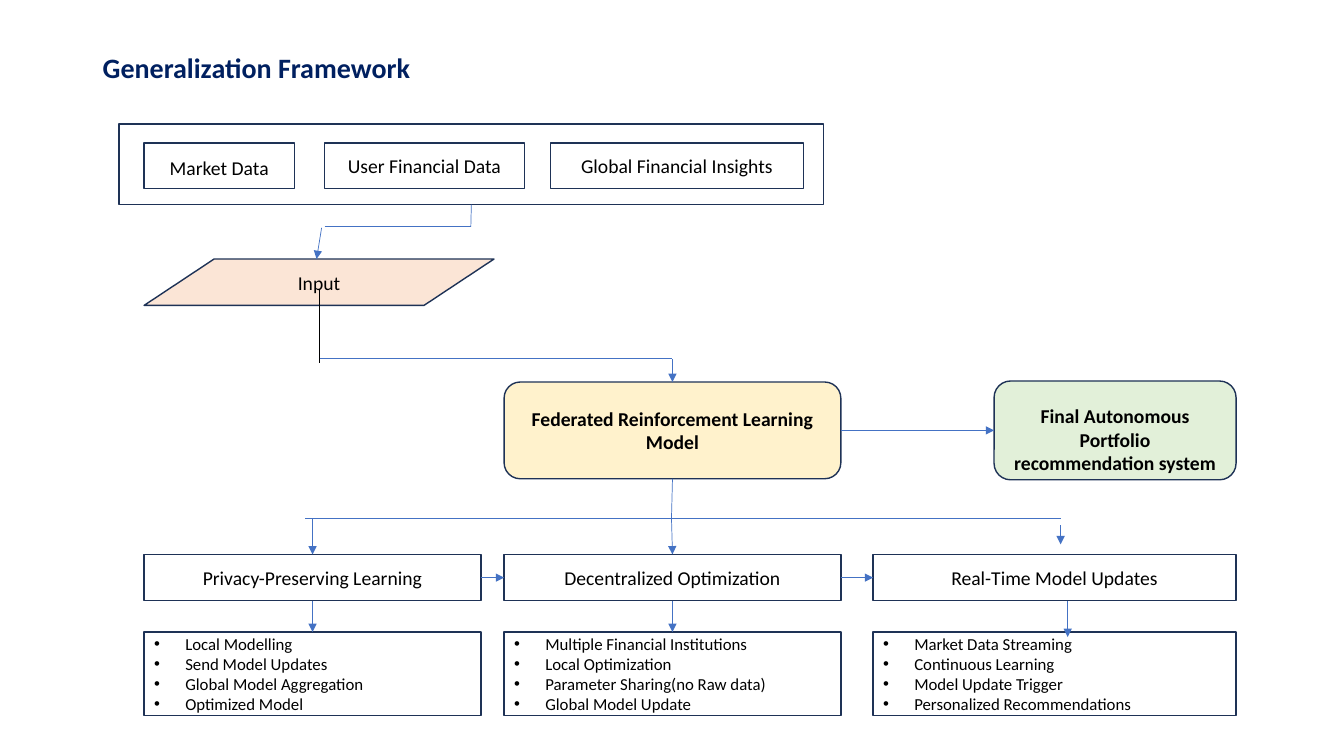
from lxml import etree
from pptx import Presentation
from pptx.dml.color import RGBColor
from pptx.enum.shapes import MSO_CONNECTOR, MSO_SHAPE
from pptx.enum.text import MSO_ANCHOR, PP_ALIGN
from pptx.oxml.ns import qn
from pptx.util import Inches, Pt

NAVY, BLUE, BLACK = "1E3256", "4472C4", "000000"
TOP, LEFT, BOTTOM, RIGHT = range(4)
BULLET_INDENT = 0.31
BOX_H = 0.46

PILLARS = [
    (0, 3.34, "Privacy-Preserving Learning",
     ["Local Modelling", "Send Model Updates", "Global Model Aggregation", "Optimized Model"]),
    (3.57, 3.34, "Decentralized Optimization",
     ["Multiple Financial Institutions", "Local Optimization",
      "Parameter Sharing(no Raw data)", "Global Model Update"]),
    (7.23, 3.6, "Real-Time Model Updates",
     ["Market Data Streaming", "Continuous Learning", "Model Update Trigger",
      "Personalized Recommendations"]),
]


def rgb(color):
    return RGBColor.from_string(color)


def write(shape, text, size=14, color=BLACK, bold=False, align=PP_ALIGN.CENTER,
          bullets=False, top=0.05, bottom=0.05):
    """Fill a shape with text, one paragraph per line."""
    tf = shape.text_frame
    tf.word_wrap = True
    tf.vertical_anchor = MSO_ANCHOR.MIDDLE
    tf.margin_top, tf.margin_bottom = Inches(top), Inches(bottom)
    for i, line in enumerate(text.split("\n")):
        p = tf.add_paragraph() if i else tf.paragraphs[0]
        p.alignment = align
        if bullets:
            pPr = p._p.get_or_add_pPr()
            pPr.set("marL", str(Inches(BULLET_INDENT)))
            pPr.set("indent", str(-Inches(BULLET_INDENT)))
            etree.SubElement(pPr, qn("a:buFont"), typeface="Arial")
            etree.SubElement(pPr, qn("a:buChar"), char="•")
        r = p.add_run()
        r.text = line
        r.font.name = "Calibri"
        r.font.size = Pt(size)
        r.font.bold = bold
        r.font.color.rgb = rgb(color)


def add_box(s, x, y, w, h, text="", kind=MSO_SHAPE.RECTANGLE, fill=None, **fmt):
    sp = s.shapes.add_shape(kind, Inches(x), Inches(y), Inches(w), Inches(h))
    sp.shadow.inherit = False
    if fill:
        sp.fill.solid()
        sp.fill.fore_color.rgb = rgb(fill)
    else:
        sp.fill.background()
    sp.line.color.rgb = rgb(NAVY)
    sp.line.width = Pt(1)
    if text:
        write(sp, text, **fmt)
    return sp


def link(s, start, end, arrow=True, color=BLUE):
    """Join two ends, each a point (x, y) or a (shape, side) pair."""
    points = [(0, 0) if hasattr(e[0], "shape_id") else e for e in (start, end)]
    c = s.shapes.add_connector(MSO_CONNECTOR.STRAIGHT,
                               *[Inches(v) for point in points for v in point])
    for e, connect in ((start, c.begin_connect), (end, c.end_connect)):
        if hasattr(e[0], "shape_id"):
            connect(*e)
    c.line.color.rgb = rgb(color)
    c.line.width = Pt(0.5)
    if arrow:
        etree.SubElement(c.line._get_or_add_ln(), qn("a:tailEnd"), type="triangle")
    etree.SubElement(c._element.spPr, qn("a:effectLst"))


def add_title(s, x, y, w, h):
    tb = s.shapes.add_textbox(Inches(x), Inches(y), Inches(w), Inches(h))
    write(tb, "Generalization Framework", size=20, color="002060", bold=True,
          align=PP_ALIGN.LEFT)
    tb.text_frame.paragraphs[0].line_spacing = 0.9


def add_sources(s, x, y, w, h):
    """Frame holding the three data sources; returns the frame."""
    frame = add_box(s, x, y, w, h)
    for dx, width, text, top in ((0.25, 1.49, "Market Data", 0.09),
                                 (2.04, 1.98, "User Financial Data", 0.05),
                                 (4.28, 2.51, "Global Financial Insights", 0.05)):
        add_box(s, x + dx, y + 0.19, width, 0.45, text, top=top)
    return frame


def add_input(s, x, y, w, h, sources):
    """Input parallelogram and the stepped arrow down from the sources."""
    add_box(s, x, y, w, h, "Input", MSO_SHAPE.FLOWCHART_DATA, "FBE5D6")
    bend_x, bend_y = x + 3.24, y - 0.32
    link(s, (sources, BOTTOM), (bend_x, bend_y), arrow=False)
    link(s, (x + 1.79, bend_y), (bend_x, bend_y), arrow=False)
    link(s, (x + 1.76, y - 0.31), (x + 1.71, y))


def add_model_row(s, x, y, w, h, input_x):
    """Learning model, its feed from the input and its result; returns the model."""
    model = add_box(s, x, y, 3.34, h, "Federated Reinforcement Learning Model",
                    MSO_SHAPE.ROUNDED_RECTANGLE, "FFF2CC", bold=True)
    mid, bend_y = x + 1.67, y - 0.23
    link(s, (input_x, y - 0.92), (input_x, y - 0.19), arrow=False, color=BLACK)
    link(s, (input_x, bend_y), (mid, bend_y), arrow=False)
    link(s, (mid, bend_y), (model, TOP))
    result = add_box(s, x + w - 2.4, y - 0.01, 2.4, h + 0.02,
                     "Final Autonomous Portfolio recommendation system",
                     MSO_SHAPE.ROUNDED_RECTANGLE, "E2F0D9", bold=True, top=0.18, bottom=0)
    link(s, (model, RIGHT), (result, LEFT))
    return model


def add_pillars(s, x, y, w, h, model):
    """Three linked pillars with bullet lists, fed by a bar under the model."""
    detail_y, detail_h = y + 0.77, h - 0.77
    bar_y = y - 0.36
    bar_end = x + w - 1.74
    heads, details = [], []
    for dx, width, head, points in PILLARS:
        heads.append(add_box(s, x + dx, y, width, BOX_H, head))
        details.append(add_box(s, x + dx, detail_y, width, detail_h, "\n".join(points),
                               size=12, align=PP_ALIGN.LEFT, bullets=True))
    privacy, decentral, _ = heads

    link(s, (x + 1.6, bar_y), (bar_end, bar_y), arrow=False)
    link(s, (x + 1.67, bar_y), (privacy, TOP))
    link(s, (model, BOTTOM), (x + 5.23, bar_y), arrow=False)
    link(s, (x + 5.23, bar_y), (decentral, TOP))
    link(s, (bar_end, y - 0.29), (bar_end, y - 0.1))

    for head, detail in zip(heads[:2], details):
        link(s, (head, BOTTOM), (detail, TOP))
    link(s, (x + 9.16, y + BOX_H), (x + 9.16, detail_y + 0.05))
    for left, right in zip(heads, heads[1:]):
        link(s, (left, RIGHT), (right, LEFT))


def main():
    prs = Presentation()
    prs.slide_width, prs.slide_height = Inches(13.33), Inches(7.5)
    s = prs.slides.add_slide(prs.slide_layouts[6])
    add_title(s, 0.92, 0.4, 11.5, 0.57)
    sources = add_sources(s, 1.18, 1.23, 6.99, 0.8)
    add_input(s, 1.43, 2.57, 3.47, BOX_H, sources)
    model = add_model_row(s, 5, 3.79, 7.26, 0.96, input_x=3.17)
    add_pillars(s, 1.43, 5.5, 10.83, 1.6, model)
    prs.save("out.pptx")


if __name__ == "__main__":
    main()
